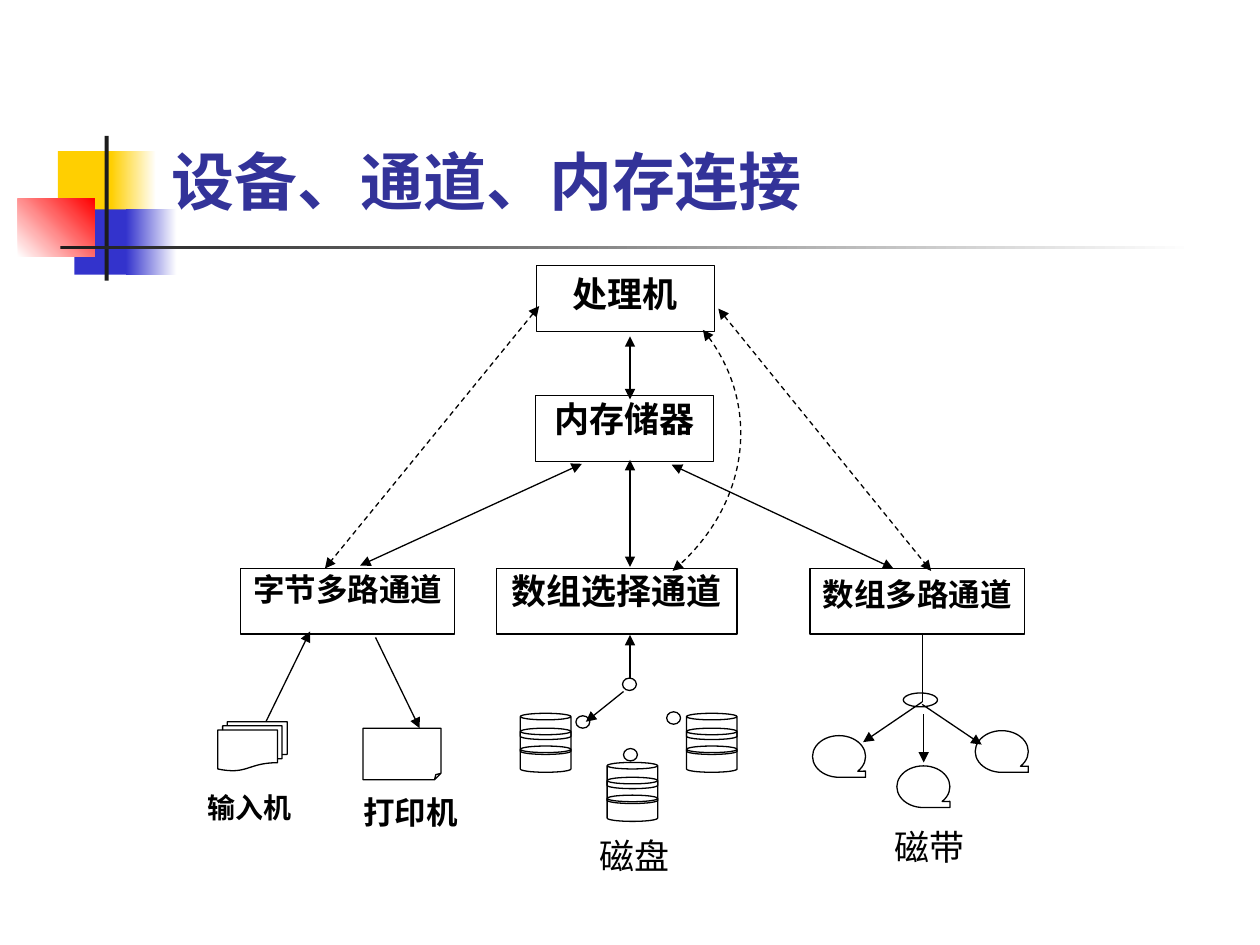
from lxml import etree
from pptx import Presentation
from pptx.dml.color import RGBColor
from pptx.enum.dml import MSO_LINE
from pptx.enum.shapes import MSO_CONNECTOR, MSO_SHAPE
from pptx.enum.text import MSO_ANCHOR, MSO_AUTO_SIZE, PP_ALIGN
from pptx.oxml.ns import qn
from pptx.util import Cm, Pt

RECT, OVAL, CAN = MSO_SHAPE.RECTANGLE, MSO_SHAPE.OVAL, MSO_SHAPE.CAN
DOCUMENTS = MSO_SHAPE.FLOWCHART_MULTIDOCUMENT
SHEET = MSO_SHAPE.FOLDED_CORNER
TAPE = MSO_SHAPE.FLOWCHART_SEQUENTIAL_ACCESS_STORAGE
STRAIGHT, DASH = MSO_CONNECTOR.STRAIGHT, MSO_LINE.DASH
TOP, BOTTOM = MSO_ANCHOR.TOP, MSO_ANCHOR.BOTTOM
LEFT, CENTER, FIXED = PP_ALIGN.LEFT, PP_ALIGN.CENTER, MSO_AUTO_SIZE.NONE

BLACK, WHITE, YELLOW, BLUE, RED, DARK = (
    "000000", "FFFFFF", "FFCF01", "3333CC", "FF0000", "1C1C1C")

TITLE = "设备、通道、内存连接"
DECORATION = [
    ((1.17, 3.05, 1.22, 1.32), [YELLOW], 0),
    ((2.24, 3.05, 0.91, 1.32), [YELLOW, WHITE], 0),
    ((1.5, 4.22, 1.17, 1.32), [BLUE], 0),
    ((2.54, 4.22, 1.02, 1.32), [BLUE, WHITE], 0),
    ((0.36, 4.01, 1.55, 1.17), [WHITE, RED], 45),
    ((2.11, 2.74, 0.08, 2.92), [DARK], 0),
    ((1.22, 4.95, 22.86, 0.08), [DARK, WHITE], 0),
]
BOX_HEIGHT = 1.32
BOXES = [
    ("处理机", 10.82, 5.36, 3.58, 20, (0.25, 0.13)),
    ("内存储器", 10.8, 7.98, 3.58, 20, (0.25, 0.03)),
    ("字节多路通道", 4.85, 11.46, 4.32, 18, (0.15, 0.03)),
    ("数组选择通道", 10.01, 11.46, 4.85, 20, (0.25, 0.03)),
    ("数组多路通道", 16.33, 11.46, 4.32, 18, (0.05, 0.13)),
]
LABELS = [
    ("输入机", (4.01, 15.9, 2.03, 1.12), 16, True),
    ("打印机", (7.24, 15.95, 2.08, 1.12), 18, True),
    ("磁盘", (11.81, 16.79, 1.96, 0.99), 20, False),
    ("磁带", (17.7, 16.61, 2.08, 1.17), 20, False),
]
DISK_PLACES = [(10.49, 14.38), (12.24, 15.37), (13.84, 14.38)]
PLATTER_OFFSETS = [0, 0.3, 0.66]
DEVICES = [
    (DOCUMENTS, 1.4, 0.99, [(4.39, 14.55)]),
    (SHEET, 1.57, 1.04, [(7.32, 14.68)]),
    (CAN, 1.02, 0.53, [(left, top + offset) for left, top in DISK_PLACES
                       for offset in PLATTER_OFFSETS]),
    (OVAL, 0.28, 0.25, [(12.55, 13.67), (13.44, 14.35),
                        (12.57, 15.09), (11.61, 14.43)]),
    (TAPE, 1.07, 0.84, [(16.38, 14.83), (19.66, 14.73), (18.08, 15.44)]),
    (OVAL, 0.69, 0.28, [(18.21, 13.97)]),
]
PLAIN_LINES = [(18.59, 12.8, 18.59, 14.15)]
ARROWS = [
    (12.7, 13.67, 12.7, 12.8),
    (12.57, 13.94, 11.81, 14.55),
    (7.57, 12.85, 8.46, 14.68),
    (5.36, 14.55, 6.25, 12.73),
    (18.59, 14.15, 17.4, 14.96),
    (18.59, 14.2, 19.79, 15.01),
    (18.62, 14.4, 18.62, 15.37),
]
DATA_PATHS = [
    (12.7, 6.78, 12.7, 8.05),
    (11.73, 9.35, 7.26, 11.4),
    (12.7, 9.27, 12.7, 11.43),
    (13.54, 9.37, 18.01, 11.46),
]
CONTROL_PATHS = [(10.87, 6.17, 6.55, 11.46), (14.48, 6.22, 18.77, 11.51)]
CONTROL_CURVE = [(14.17, 6.65), (15.34, 8.05), (15.09, 10.24), (13.56, 11.51)]


def color(value):
    return RGBColor.from_string(value)


def lengths(values):
    return [Cm(value) for value in values]


def write(shape, text, size, hue=BLACK, bold=True, font="Times New Roman",
          align=CENTER, anchor=TOP, insets=(0.05, 0.03), wrap=True):
    frame = shape.text_frame
    frame.word_wrap, frame.auto_size = wrap, FIXED
    frame.vertical_anchor = anchor
    frame.margin_left = frame.margin_right = Cm(insets[0])
    frame.margin_top = frame.margin_bottom = Cm(insets[1])
    para = frame.paragraphs[0]
    para.alignment = align
    span = para.add_run()
    span.text = text
    span.font.size, span.font.bold, span.font.name = Pt(size), bold, font
    span.font.color.rgb = color(hue)


def add_outline(page, kind, place):
    shape = page.shapes.add_shape(kind, *lengths(place))
    shape.shadow.inherit = False
    shape.fill.background()
    style_line(shape)
    return shape


def add_decoration(page, place, hues, angle):
    shape = page.shapes.add_shape(RECT, *lengths(place))
    shape.shadow.inherit = False
    shape.line.fill.background()
    if len(hues) == 1:
        shape.fill.solid()
        shape.fill.fore_color.rgb = color(hues[0])
        return
    shape.fill.gradient()
    shape.fill.gradient_angle = angle
    for stop, hue in zip(shape.fill.gradient_stops, hues):
        stop.color.rgb = color(hue)


def style_line(shape, ends=(), dashed=False):
    shape.line.color.rgb = color(BLACK)
    shape.line.width = Pt(0.75)
    if dashed:
        shape.line.dash_style = DASH
    outline = next(shape._element.iter(qn("a:ln")))
    for end in ends:
        etree.SubElement(outline, qn(f"a:{end}"), type="triangle")


def add_line(page, points, ends, dashed):
    line = page.shapes.add_connector(STRAIGHT, *lengths(points))
    style_line(line, ends, dashed)
    etree.SubElement(line._element.spPr, qn("a:effectLst"))


def add_curve(page, points, ends):
    start, *others = [lengths(point) for point in points]
    builder = page.shapes.build_freeform(*start)
    builder.add_line_segments(others, close=False)
    curve = builder.convert_to_shape()
    curve.shadow.inherit = False
    curve.fill.background()
    style_line(curve, ends, dashed=True)
    outline = next(curve._element.iter(qn("a:path")))
    bezier = etree.SubElement(outline, qn("a:cubicBezTo"))
    for segment in outline.findall(qn("a:lnTo")):
        bezier.append(segment[0])
        outline.remove(segment)


def main():
    """Build the slide on devices, channels and memory."""
    deck = Presentation()
    deck.slide_width, deck.slide_height = Cm(25.4), Cm(19.05)
    page = deck.slides.add_slide(deck.slide_layouts[5])
    title = page.shapes.title
    title.left, title.top, title.width, title.height = lengths(
        (3.2, 1.32, 21.64, 3.2))
    write(title, TITLE, 36, hue="333399", font="Karla", align=LEFT,
          anchor=BOTTOM, insets=(0.25, 0.13))
    for place, hues, angle in DECORATION:
        add_decoration(page, place, hues, angle)
    for text, left, top, width, size, insets in BOXES:
        box = add_outline(page, RECT, (left, top, width, BOX_HEIGHT))
        write(box, text, size, insets=insets)
    for kind, width, height, places in DEVICES:
        for left, top in places:
            device = add_outline(page, kind, (left, top, width, height))
            if kind == SHEET:
                guides = next(device._element.iter(qn("a:avLst")))
                etree.SubElement(guides, qn("a:gd"), name="adj", fmla="val 12500")
    for text, place, size, bold in LABELS:
        write(page.shapes.add_textbox(*lengths(place)), text, size, bold=bold)
    both = ("headEnd", "tailEnd")
    for group, ends, dashed in [(PLAIN_LINES, (), False),
                                (ARROWS, ("tailEnd",), False),
                                (DATA_PATHS, both, False),
                                (CONTROL_PATHS, both, True)]:
        for points in group:
            add_line(page, points, ends, dashed)
    add_curve(page, CONTROL_CURVE, both)
    deck.save("out.pptx")


if __name__ == "__main__":
    main()
